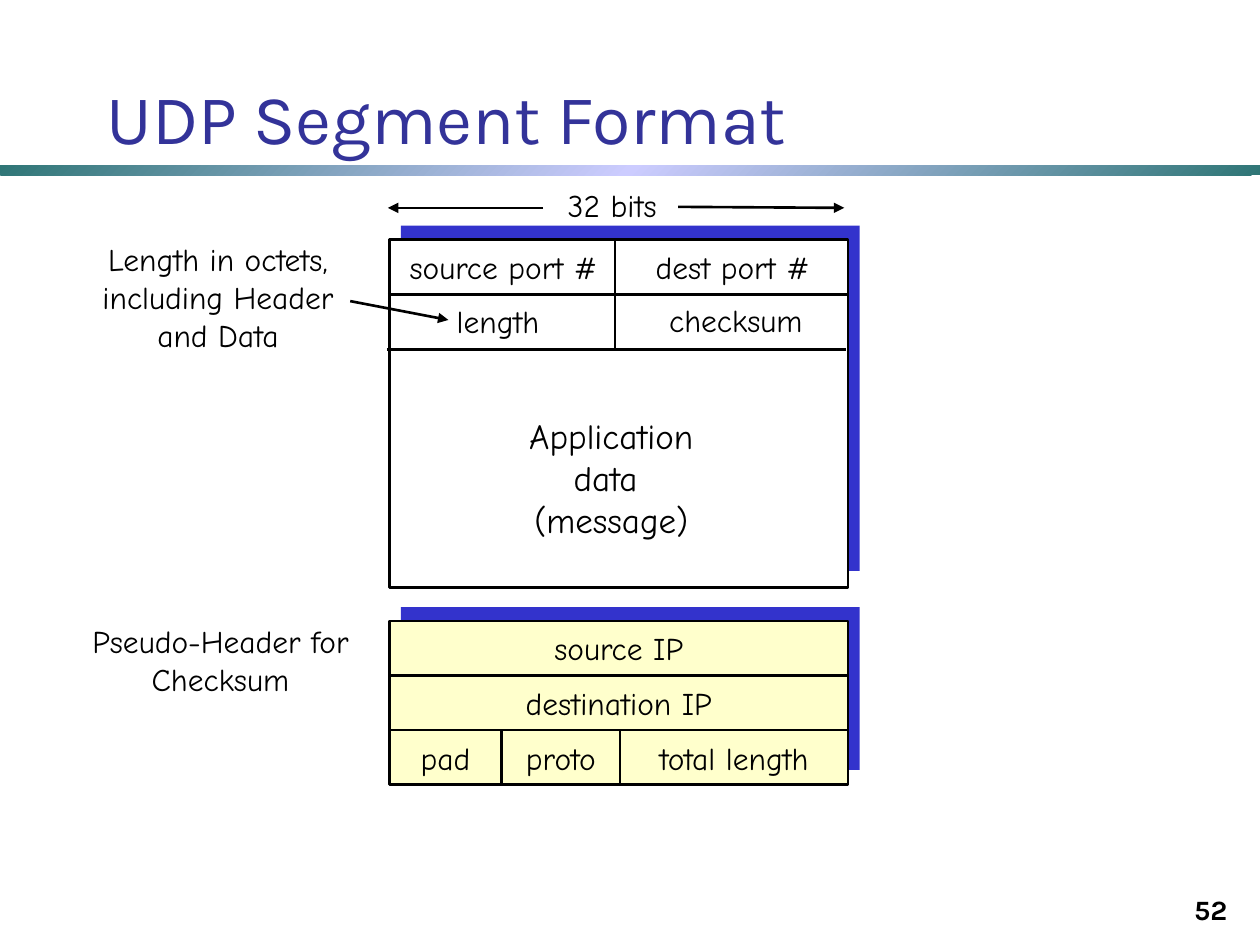
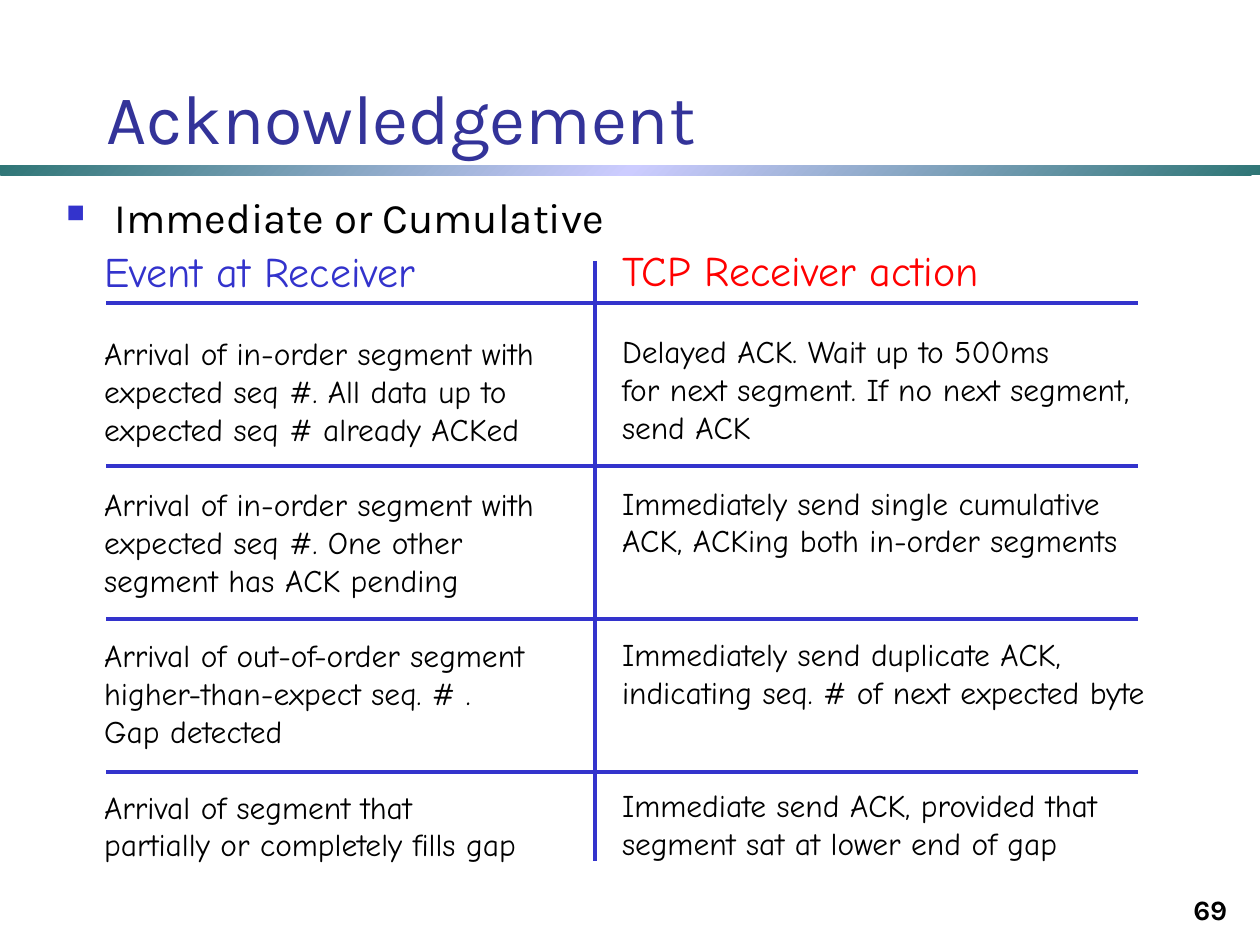
from dataclasses import dataclass

from pptx import Presentation
from pptx.dml.color import RGBColor as RGB
from pptx.enum.shapes import MSO_CONNECTOR as Connector, MSO_SHAPE as Preset
from pptx.enum.text import MSO_ANCHOR as Anchor, PP_ALIGN as Align
from pptx.oxml.ns import qn
from pptx.oxml.xmlchemy import OxmlElement
from pptx.util import Cm, Pt


@dataclass(frozen=True)
class Theme:
    title_font: str = "Karla"
    body_font: str = "Comic Neue"
    title_color: str = "333399"
    accent: str = "3333CC"
    alert: str = "FF0000"
    ink: str = "000000"
    paper: str = "FFFFFF"
    pseudo_fill: str = "FFFFCC"
    band_edge: str = "2F7676"
    band_middle: str = "CCCCFF"
    title_size: int = 40
    heading_size: int = 24
    data_size: int = 20
    body_size: int = 18
    number_size: int = 16
    thin: float = 1.5
    thick: float = 2.25
    body_line: float = 21.6


THEME = Theme()
SLIDE_WIDTH, SLIDE_HEIGHT = 25.4, 19.05
SEGMENT_LEFT, SEGMENT_WIDTH = 7.85, 9.25
SHADE_LEFT = 8.08
LABEL_HEIGHT = 1.02
ROW_SLOTS = 4

PSEUDO_ROWS = [
    [("source IP", 9.25)],
    [("destination IP", 9.25)],
    [("pad", 2.26), ("proto", 2.39), ("total length", 4.6)],
]
EVENTS = [
    ["Arrival of in-order segment with", "expected seq #. All data up to",
     "expected seq # already ACKed"],
    ["Arrival of in-order segment with", "expected seq #. One other",
     "segment has ACK pending"],
    ["Arrival of out-of-order segment", "higher-than-expect seq. # .",
     "Gap detected"],
    ["Arrival of segment that", "partially or completely fills gap"],
]
ACTIONS = [
    ["Delayed ACK. Wait up to 500ms", "for next segment. If no next segment,",
     "send ACK"],
    ["Immediately send single cumulative", "ACK, ACKing both in-order segments"],
    ["Immediately send duplicate ACK,", "indicating seq. # of next expected byte"],
    ["Immediate send ACK, provided that", "segment sat at lower end of gap"],
]


def add_element(parent, tag, **attributes):
    element = OxmlElement(tag)
    for name, value in attributes.items():
        element.set(name, str(value))
    parent.append(element)
    return element


def style(paragraph, size=THEME.body_size, color=THEME.ink,
          font=THEME.body_font, bold=False):
    for run in paragraph.runs:
        run.font.size = Pt(size)
        run.font.name = font
        run.font.bold = bold
        run.font.color.rgb = RGB.from_string(color)


def add_label(slide, text, left, top, width, height=LABEL_HEIGHT,
              align=Align.CENTER, anchor=Anchor.TOP, **look):
    frame = slide.shapes.add_textbox(Cm(left), Cm(top), Cm(width), Cm(height)).text_frame
    frame.word_wrap = True
    frame.vertical_anchor = anchor
    frame.text = text
    for paragraph in frame.paragraphs:
        paragraph.alignment = align
        style(paragraph, **look)
    return frame


def add_panel(slide, left, top, width, height, fill, outlined=True, text=""):
    panel = slide.shapes.add_shape(
        Preset.RECTANGLE, Cm(left), Cm(top), Cm(width), Cm(height))
    panel.shadow.inherit = False
    panel.fill.solid()
    panel.fill.fore_color.rgb = RGB.from_string(fill)
    if outlined:
        panel.line.color.rgb = RGB.from_string(THEME.ink)
        panel.line.width = Pt(THEME.thin)
    else:
        panel.line.fill.background()
    if text:
        panel.text_frame.text = text
        panel.text_frame.vertical_anchor = Anchor.MIDDLE
        panel.text_frame.paragraphs[0].alignment = Align.CENTER
        style(panel.text_frame.paragraphs[0])
    return panel


def add_line(slide, x1, y1, x2, y2, color=THEME.ink, width=THEME.thin, arrow=False):
    line = slide.shapes.add_connector(
        Connector.STRAIGHT, Cm(x1), Cm(y1), Cm(x2), Cm(y2))
    line.line.color.rgb = RGB.from_string(color)
    line.line.width = Pt(width)
    if arrow:
        add_element(line.line._get_or_add_ln(), "a:tailEnd", type="triangle")
    add_element(line._element.spPr, "a:effectLst")


def add_band(slide):
    band = add_panel(slide, 0, 3.33, SLIDE_WIDTH, 0.2, THEME.band_edge, outlined=False)
    band.fill.gradient()
    band.fill.gradient_angle = 315
    stops = band._element.spPr.find(".//" + qn("a:gsLst"))
    stops.clear()
    for percent, color in ((0, THEME.band_edge), (50, THEME.band_middle),
                           (100, THEME.band_edge)):
        stop = add_element(stops, "a:gs", pos=percent * 1000)
        add_element(stop, "a:srgbClr", val=color)


def new_slide(deck, title, number):
    slide = deck.slides.add_slide(deck.slide_layouts[6])
    add_band(slide)
    add_label(slide, number, 19.71, 17.53, 5.28, 1.27, Align.RIGHT, Anchor.BOTTOM,
              size=THEME.number_size, font=THEME.title_font, bold=True)
    add_label(slide, title, 1.9, 0.91, 23.5, 2.41, Align.LEFT, Anchor.BOTTOM,
              size=THEME.title_size, color=THEME.title_color, font=THEME.title_font)
    return slide


def add_bullet(slide, text):
    frame = add_label(slide, text, 1.09, 3.94, 23.8, 1.09, Align.LEFT,
                      size=THEME.heading_size, font=THEME.title_font)
    paragraph = frame.paragraphs[0]
    paragraph.line_spacing = 0.8
    properties = paragraph._p.get_or_add_pPr()
    properties.set("marL", str(Cm(0.97)))
    properties.set("indent", str(-Cm(0.97)))
    bullet_color = add_element(properties, "a:buClr")
    add_element(bullet_color, "a:srgbClr", val=THEME.accent)
    add_element(properties, "a:buSzPct", val=60000)
    add_element(properties, "a:buChar", char="■")


def add_column(slide, heading, color, rows, left, top, width):
    frame = add_label(slide, heading, left, top, width, 12.83, Align.LEFT,
                      size=THEME.heading_size, color=color)
    empty_slots = 1
    for row in rows:
        for index, text in enumerate(row):
            paragraph = frame.add_paragraph()
            paragraph.text = text
            style(paragraph)
            if index == 0:
                paragraph.space_before = Pt(empty_slots * THEME.body_line)
        empty_slots = ROW_SLOTS - len(row)


def add_segment(slide):
    add_panel(slide, SHADE_LEFT, 4.55, SEGMENT_WIDTH, 6.96, THEME.accent, outlined=False)
    add_panel(slide, SEGMENT_LEFT, 4.83, SEGMENT_WIDTH, 7.01, THEME.paper)
    for left, y in ((7.82, 5.94), (7.8, 7.04)):
        add_line(slide, left, y, left + SEGMENT_WIDTH, y)
    add_line(slide, 12.4, 4.83, 12.4, 7.04)
    for field, left, top, width in (
            ("32 bits", 11.02, 3.63, 2.64),
            ("source port #", 7.8, 4.88, 4.7),
            ("dest port #", 12.75, 4.88, 4.04),
            ("length", 8.86, 5.97, 2.36),
            ("checksum", 13.16, 5.94, 3.35)):
        add_label(slide, field, left, top, width)
    add_label(slide, "Application\ndata \n(message)", 10.24, 8.23, 4.17, 2.79,
              size=THEME.data_size)
    add_line(slide, 13.67, 4.17, 17.02, 4.19, arrow=True)
    add_line(slide, 10.95, 4.19, 7.82, 4.19, arrow=True)
    add_label(slide, "Length in octets, including Header and Data", 1.45, 4.72, 5.89, 2.54)
    add_line(slide, 7.06, 6.07, 9.04, 6.45, arrow=True)


def add_pseudo_header(slide):
    add_panel(slide, SHADE_LEFT, 12.24, SEGMENT_WIDTH, 3.28, THEME.accent, outlined=False)
    add_label(slide, "Pseudo-Header for Checksum", 1.5, 12.42, 5.89, 1.78)
    row_height = 1.1
    for index, row in enumerate(PSEUDO_ROWS):
        left = SEGMENT_LEFT
        for field, width in row:
            add_panel(slide, left, 12.52 + index * row_height, width, row_height,
                      THEME.pseudo_fill, text=field)
            left += width


def add_acknowledgement_rules(slide):
    add_column(slide, "Event at Receiver", THEME.accent, EVENTS, 1.85, 4.83, 10.26)
    add_column(slide, "TCP Receiver action", THEME.alert, ACTIONS, 12.29, 4.8, 12.42)
    for y in (6.11, 9.39, 12.47, 15.56):
        add_line(slide, 2.14, y, 22.94, y, THEME.accent, THEME.thick)
    add_line(slide, 11.99, 5.26, 11.99, 17.35, THEME.accent, THEME.thick)


def main():
    deck = Presentation()
    deck.slide_width, deck.slide_height = Cm(SLIDE_WIDTH), Cm(SLIDE_HEIGHT)

    segment_slide = new_slide(deck, "UDP Segment Format", "52")
    add_segment(segment_slide)
    add_pseudo_header(segment_slide)

    acknowledgement_slide = new_slide(deck, "Acknowledgement", "69")
    add_bullet(acknowledgement_slide, "Immediate or Cumulative")
    add_acknowledgement_rules(acknowledgement_slide)

    deck.save("out.pptx")


if __name__ == "__main__":
    main()
